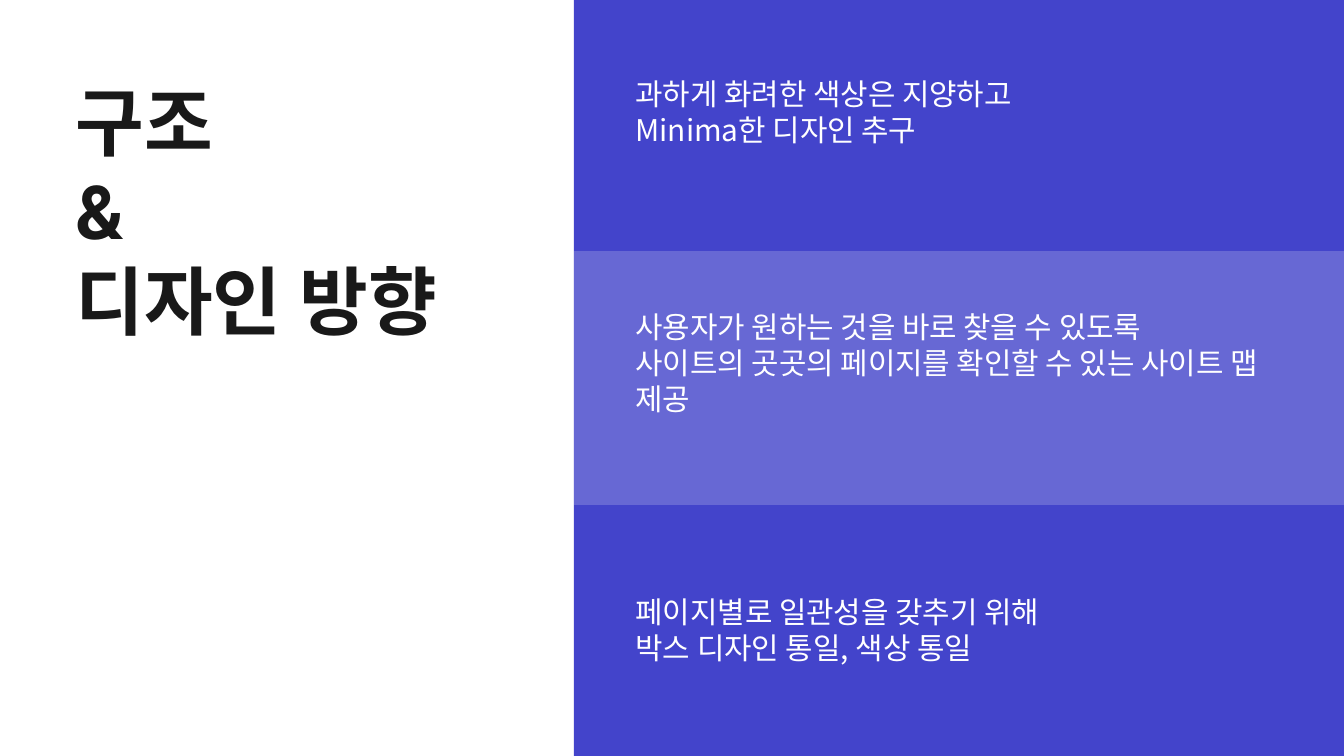
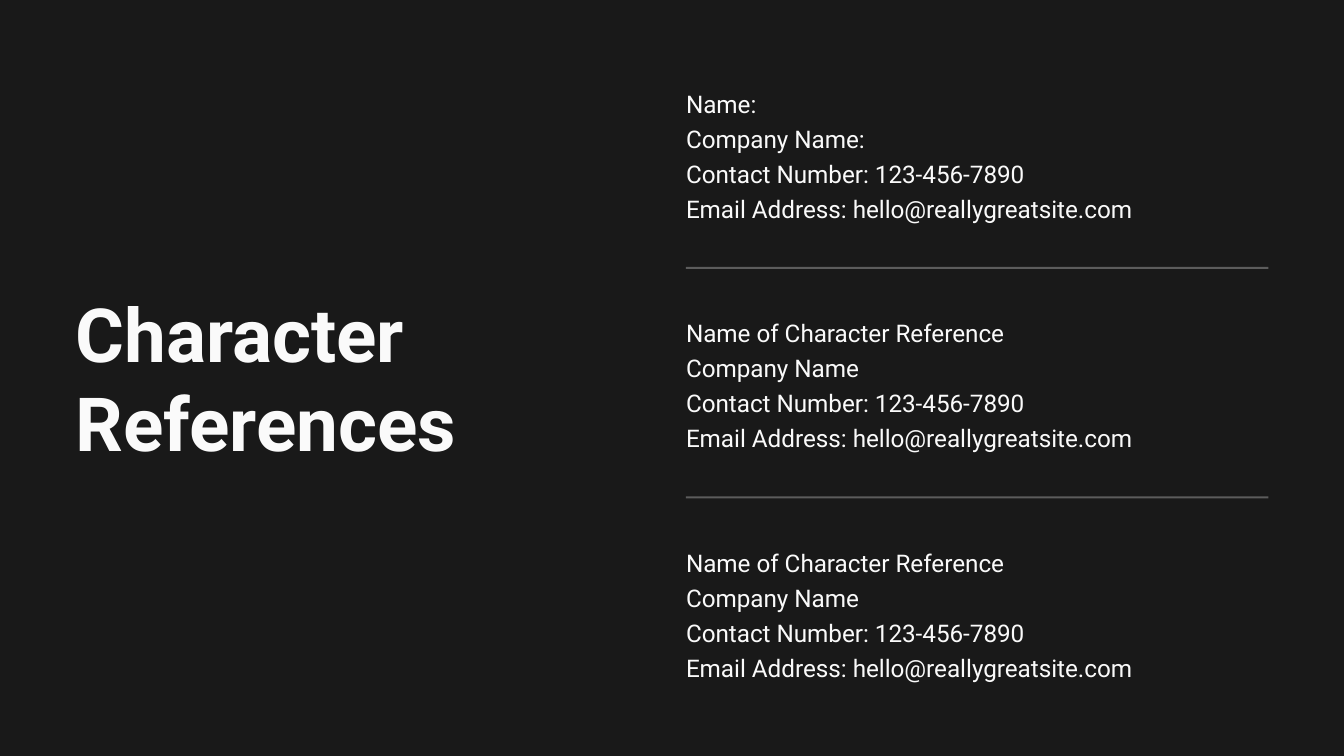
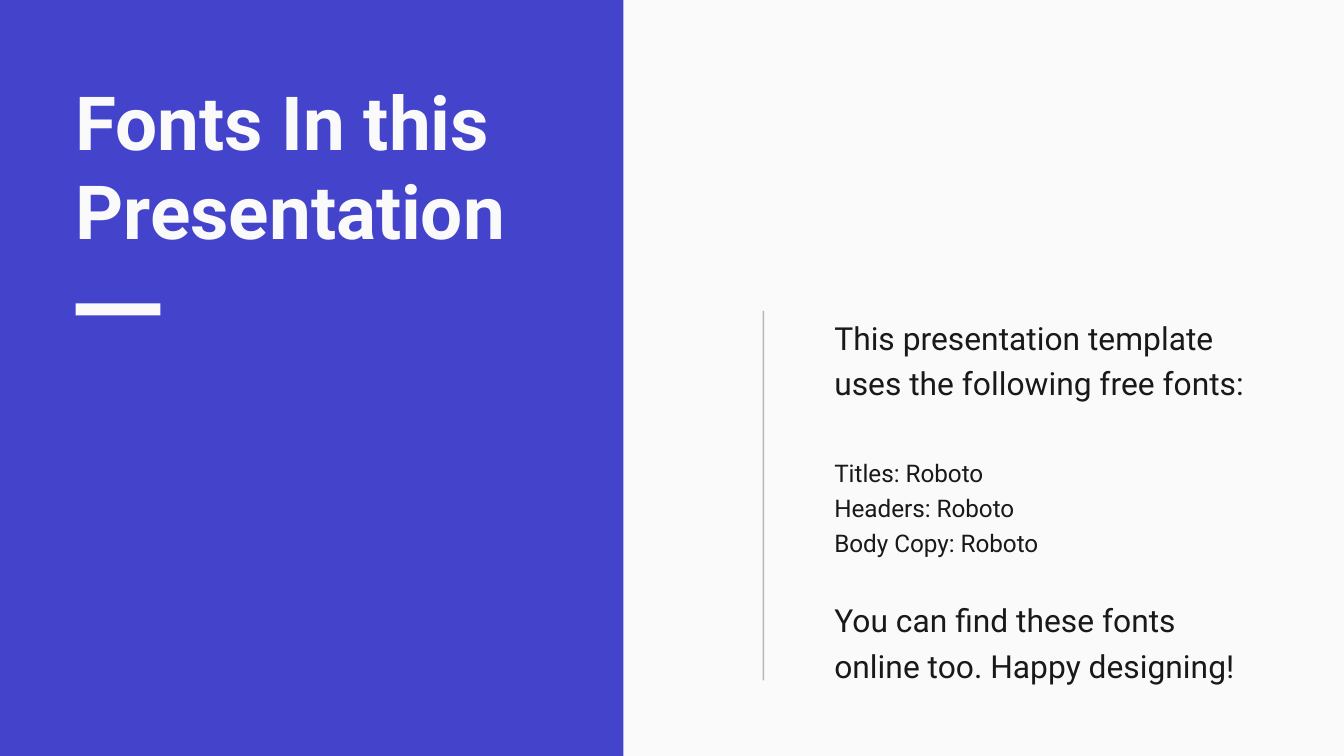
"""Build three slides: design direction, character references and fonts used."""
from lxml.etree import SubElement
from pptx import Presentation
from pptx.dml.color import RGBColor
from pptx.enum.shapes import MSO_CONNECTOR as Connector, MSO_SHAPE as Shape
from pptx.enum.text import MSO_AUTO_SIZE as AutoSize
from pptx.oxml.ns import qn
from pptx.util import Pt

COLORS = {"indigo": "4344CB", "ink": "191919", "paper": "FAFAFA", "white": "FFFFFF"}
LATIN, KOREAN = "Roboto", "Noto Sans CJK KR"
WIDTH, HEIGHT, MARGIN = 720, 405, 40.5
RIGHT = WIDTH - MARGIN

DIRECTION_TITLE = ["구조", "&", "디자인 방향"]
DIRECTIONS = [
    (40.5, 39, ["과하게 화려한 색상은 지양하고", "Minima한 디자인 추구"]),
    (165, 58, ["사용자가 원하는 것을 바로 찾을 수 있도록\v"
               "사이트의 곳곳의 페이지를 확인할 수 있는 사이트 맵 제공"]),
    (318, 39, ["페이지별로 일관성을 갖추기 위해", "박스 디자인 통일, 색상 통일"]),
]
CONTACT = ["Contact Number: 123-456-7890", "Email Address: hello@reallygreatsite.com"]
REFERENCES = [
    ["Name:", "Company Name:"],
    ["Name of Character Reference", "Company Name"],
    ["Name of Character Reference", "Company Name"],
]
FONT_NOTES = [
    (17, 45, ["This presentation template uses the following free fonts:"]),
    (13, 53, ["Titles: Roboto", "Headers: Roboto", "Body Copy: Roboto"]),
    (17, 45, ["You can find these fonts online too. Happy designing!"]),
]


def rgb(color):
    return RGBColor.from_string(COLORS[color])


def set_alpha(properties, percent):
    color = next(properties.iter(qn("a:srgbClr")))
    SubElement(color, qn("a:alpha"), val=str(percent * 1000))


def add_page(deck, color):
    page = deck.slides.add_slide(deck.slide_layouts[6])
    page.background.fill.solid()
    page.background.fill.fore_color.rgb = rgb(color)
    return page


def add_text(page, left, top, width, height, lines, size, color,
             face=LATIN, bold=False, spacing=None):
    box = page.shapes.add_textbox(Pt(left), Pt(top), Pt(width), Pt(height))
    frame = box.text_frame
    frame.word_wrap = True
    frame.auto_size = AutoSize.SHAPE_TO_FIT_TEXT
    frame.margin_left = frame.margin_top = frame.margin_right = frame.margin_bottom = 0
    for index, line in enumerate(lines):
        para = frame.add_paragraph() if index else frame.paragraphs[0]
        para.text = line
        para.line_spacing = spacing
        font = para.font
        font.name, font.size, font.bold = face, Pt(size), bold
        font.color.rgb = rgb(color)
        SubElement(para._p.pPr.find(qn("a:defRPr")), qn("a:ea"), typeface=face)


def add_title(page, top, width, height, lines, color):
    add_text(page, MARGIN, top, width, height, lines, 40, color, bold=True)


def add_band(page, left, top, width, height, color, alpha=None):
    band = page.shapes.add_shape(Shape.RECTANGLE, Pt(left), Pt(top), Pt(width), Pt(height))
    band.shadow.inherit = False
    band.fill.solid()
    band.fill.fore_color.rgb = rgb(color)
    band.line.fill.background()
    if alpha:
        set_alpha(band._element.spPr, alpha)


def add_rule(page, start, end, color, weight):
    rule = page.shapes.add_connector(Connector.STRAIGHT, *map(Pt, start + end))
    rule.line.color.rgb = rgb(color)
    rule.line.width = Pt(weight)
    set_alpha(rule._element.spPr, 30)
    SubElement(rule._element.spPr, qn("a:effectLst"))


def build_directions(deck):
    page = add_page(deck, "white")
    add_title(page, MARGIN, 229.5, 145.5, DIRECTION_TITLE, "ink")
    panel = 307.5
    add_band(page, panel, 0, WIDTH - panel, HEIGHT, "indigo")
    add_band(page, panel, 134.5, WIDTH - panel, 136, "paper", alpha=20)
    left = 340.5
    for top, height, lines in DIRECTIONS:
        add_text(page, left, top, RIGHT - left, height, lines, 16, "white",
                 face=KOREAN, spacing=Pt(19.3))


def build_references(deck):
    page = add_page(deck, "ink")
    add_title(page, 154, 264, 97, ["Character References"], "paper")
    left, first, pitch = 367.5, 44.5, 123
    for index, names in enumerate(REFERENCES):
        top = first + index * pitch
        add_text(page, left, top, 312, 73, names + CONTACT, 13, "paper", spacing=1.2)
        if index:
            divider = top - 24
            add_rule(page, (left, divider), (RIGHT, divider), "paper", 1)


def build_fonts(deck):
    page = add_page(deck, "paper")
    add_band(page, 0, 0, 334, HEIGHT, "indigo")
    left, first, pitch = 447, 166.5, 75.75
    for index, (size, height, lines) in enumerate(FONT_NOTES):
        add_text(page, left, first + index * pitch, RIGHT - left, height, lines,
                 size, "ink", spacing=1.2)
    add_title(page, MARGIN, 253.5, 97, ["Fonts In this Presentation"], "paper")
    add_band(page, MARGIN, 162.5, 45.5, 6.5, "paper")
    add_rule(page, (409, HEIGHT - MARGIN), (409, first), "ink", 0.75)


def main():
    deck = Presentation()
    deck.slide_width, deck.slide_height = Pt(WIDTH), Pt(HEIGHT)
    build_directions(deck)
    build_references(deck)
    build_fonts(deck)
    deck.save("out.pptx")


if __name__ == "__main__":
    main()
